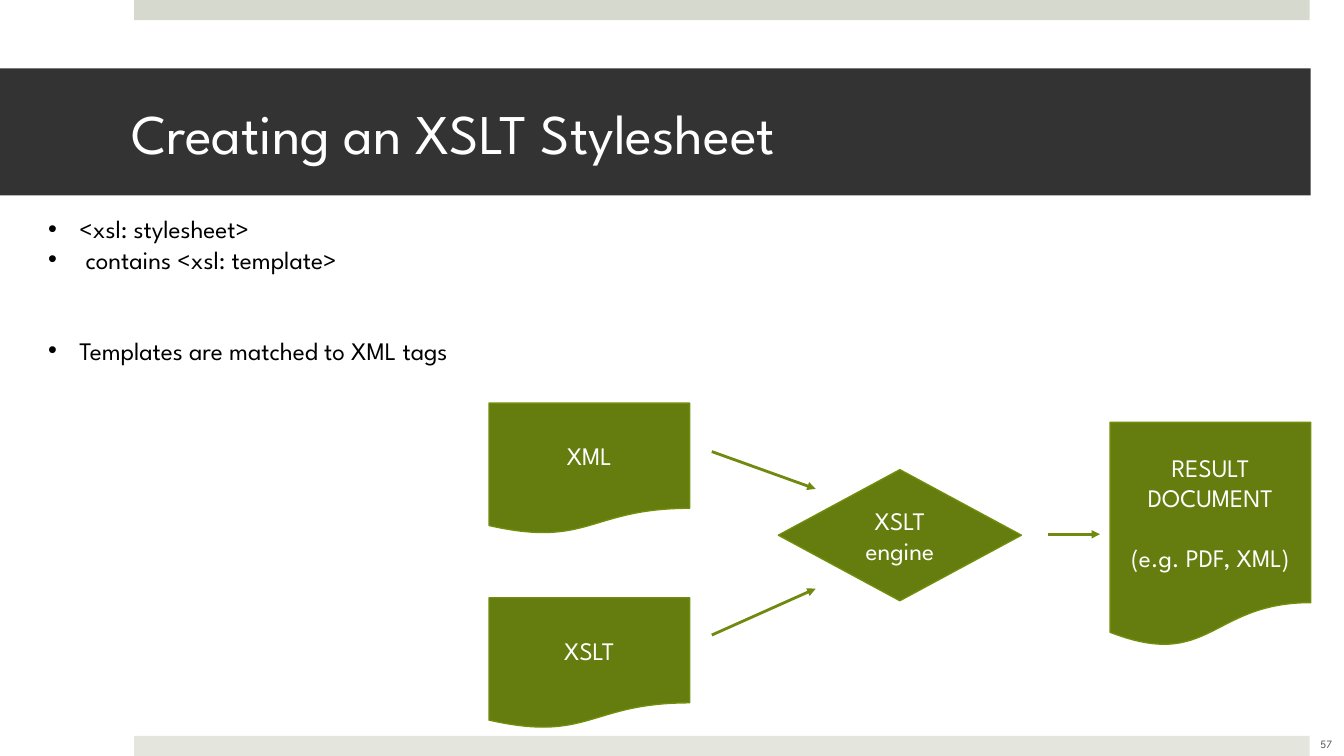
from lxml import etree
from pptx import Presentation
from pptx.dml.color import RGBColor
from pptx.enum import shapes, text
from pptx.oxml import ns
from pptx.util import Inches, Pt

FONT = "League Spartan"
WHITE = RGBColor(0xFF, 0xFF, 0xFF)
BLACK = RGBColor(0, 0, 0)
TITLE_BAND = RGBColor(0x33, 0x33, 0x33)
TOP_BAR = RGBColor(0xD6, 0xD9, 0xCD)
BOTTOM_BAR = RGBColor(0xE4, 0xE6, 0xDE)
NUMBER_GREY = RGBColor(0x59, 0x59, 0x59)
NODE_FILL = RGBColor(0x65, 0x7D, 0x0E)
NODE_LINE = RGBColor(0x71, 0x8D, 0x0C)
ARROW = RGBColor(0x6F, 0x8A, 0x0F)

LINE_PITCH = 21.7  # height in points of one 18 pt line
DOCUMENT = shapes.MSO_SHAPE.FLOWCHART_DOCUMENT
DECISION = shapes.MSO_SHAPE.FLOWCHART_DECISION


def write_text(shape, lines, size=18, color=WHITE, align=text.PP_ALIGN.CENTER,
               anchor=text.MSO_ANCHOR.MIDDLE, gaps=None, indents=None):
    """Fill a shape; gaps maps a line index to points before it, and
    indents gives the bullet indent of each line in inches."""
    frame = shape.text_frame
    frame.word_wrap = True
    frame.vertical_anchor = anchor
    for index, line in enumerate(lines):
        paragraph = frame.paragraphs[0] if index == 0 else frame.add_paragraph()
        paragraph.text = line
        paragraph.alignment = align
        if gaps and index in gaps:
            paragraph.space_before = Pt(gaps[index])
        if indents:
            add_bullet(paragraph, indents[index])
        font = paragraph.font
        font.name, font.size, font.color.rgb = FONT, Pt(size), color


def add_bullet(paragraph, indent):
    properties = paragraph._p.get_or_add_pPr()
    properties.set("marL", str(Inches(indent)))
    properties.set("indent", str(-Inches(indent)))
    etree.SubElement(properties, ns.qn("a:buFont"), typeface="Arial")
    etree.SubElement(properties, ns.qn("a:buChar"), char="•")


def add_box(slide, kind, box, fill, line=None):
    shape = slide.shapes.add_shape(kind, *map(Inches, box))
    shape.shadow.inherit = False
    shape.fill.solid()
    shape.fill.fore_color.rgb = fill
    if line is None:
        shape.line.fill.background()
    else:
        shape.line.color.rgb = line
        shape.line.width = Pt(1)
    return shape


def add_arrow(slide, start, end):
    arrow = slide.shapes.add_connector(
        shapes.MSO_CONNECTOR.STRAIGHT, *map(Inches, (*start, *end)))
    arrow.line.color.rgb = ARROW
    arrow.line.width = Pt(2)
    etree.SubElement(arrow.line._get_or_add_ln(), ns.qn("a:tailEnd"), type="triangle")
    etree.SubElement(arrow._element.spPr, ns.qn("a:effectLst"))


def add_bars(slide, left, width, height, slide_height):
    for top, color in ((0, TOP_BAR), (slide_height - height, BOTTOM_BAR)):
        add_box(slide, shapes.MSO_SHAPE.RECTANGLE, (left, top, width, height), color)


def add_title(slide, box, title):
    band = add_box(slide, shapes.MSO_SHAPE.RECTANGLE, box, TITLE_BAND)
    band.text_frame.margin_left = Inches(1.3)
    band.text_frame.margin_right = Inches(0.3)
    write_text(band, [title], size=40, align=text.PP_ALIGN.LEFT)


def add_slide_number(slide, box, number):
    label = slide.shapes.add_textbox(*map(Inches, box))
    write_text(label, [number], size=8, color=NUMBER_GREY)


def add_bullet_list(slide, box):
    bullets = slide.shapes.add_textbox(*map(Inches, box))
    lines = ["<xsl: stylesheet>", "contains <xsl: template>",
             "Templates are matched to XML tags"]
    write_text(bullets, lines, color=BLACK, align=text.PP_ALIGN.LEFT,
               anchor=text.MSO_ANCHOR.TOP, gaps={2: 2 * LINE_PITCH},
               indents=(0.31, 0.37, 0.31))


def add_transformation(slide, left, top):
    """Draw the two inputs, the engine and the result from a top left corner."""
    width, height = 1.99, 1.3
    nodes = (
        (DOCUMENT, (0, 0, width, height), ["XML"], None),
        (DOCUMENT, (0, 1.93, width, height), ["XSLT"], None),
        (DOCUMENT, (6.16, 0.19, width, 2.23),
         ["RESULT", "DOCUMENT", "(e.g. PDF, XML)"], {2: LINE_PITCH}),
        (DECISION, (2.87, 0.66, 2.41, height), ["XSLT", "engine"], None),
    )
    for kind, (x, y, w, h), lines, gaps in nodes:
        node = add_box(slide, kind, (left + x, top + y, w, h), NODE_FILL, NODE_LINE)
        write_text(node, lines, gaps=gaps)

    arrows = (
        ((2.21, 0.48), (3.24, 0.85)),
        ((2.21, 2.3), (3.24, 1.84)),
        ((5.54, 1.3), (6.06, 1.3)),
    )
    for ends in arrows:
        add_arrow(slide, *((left + x, top + y) for x, y in ends))


def main():
    presentation = Presentation()
    presentation.slide_width = Inches(13.33)
    presentation.slide_height = Inches(7.5)
    slide = presentation.slides.add_slide(presentation.slide_layouts[6])
    add_bars(slide, 1.33, 11.66, 0.2, 7.5)
    add_title(slide, (0, 0.68, 13, 1.26), "Creating an XSLT Stylesheet")
    add_slide_number(slide, (12.82, 7.18, 0.67, 0.4), "57")
    add_bullet_list(slide, (0.38, 2.07, 4.96, 1.62))
    add_transformation(slide, 4.85, 4)
    presentation.save("out.pptx")


if __name__ == "__main__":
    main()
